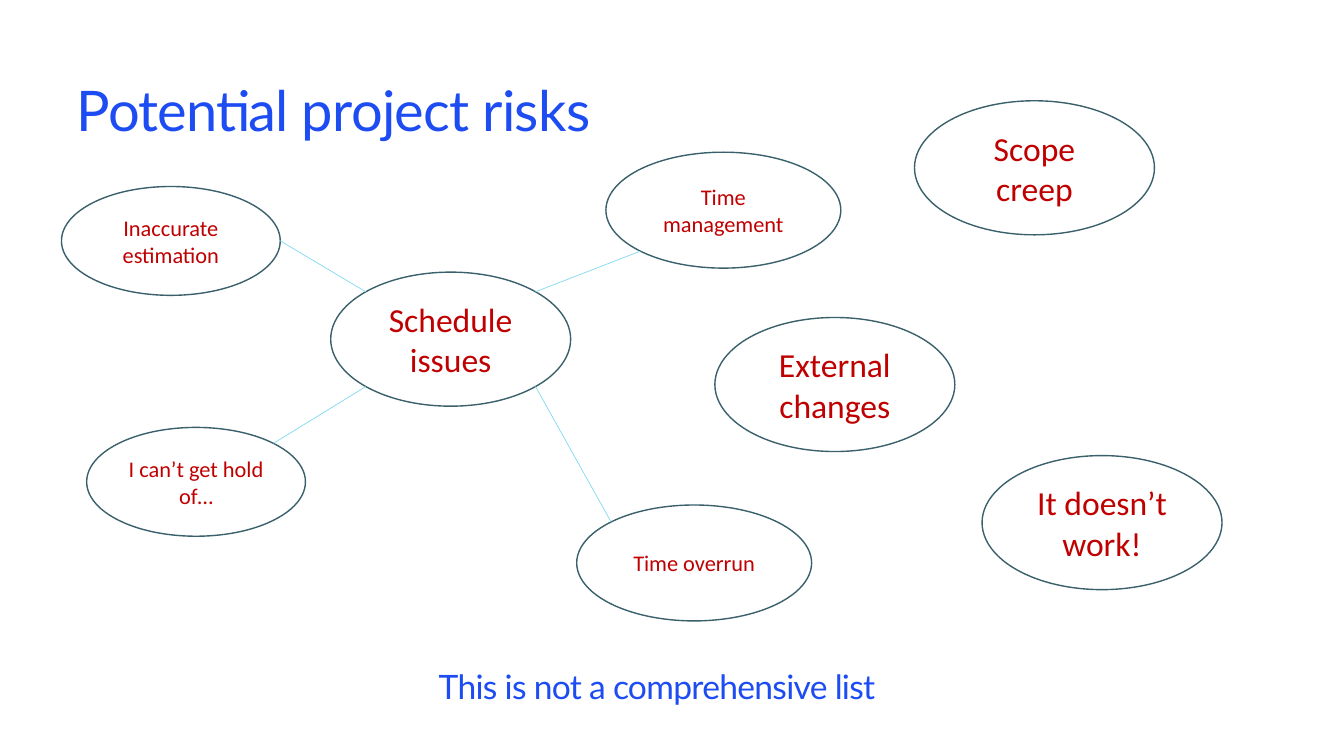
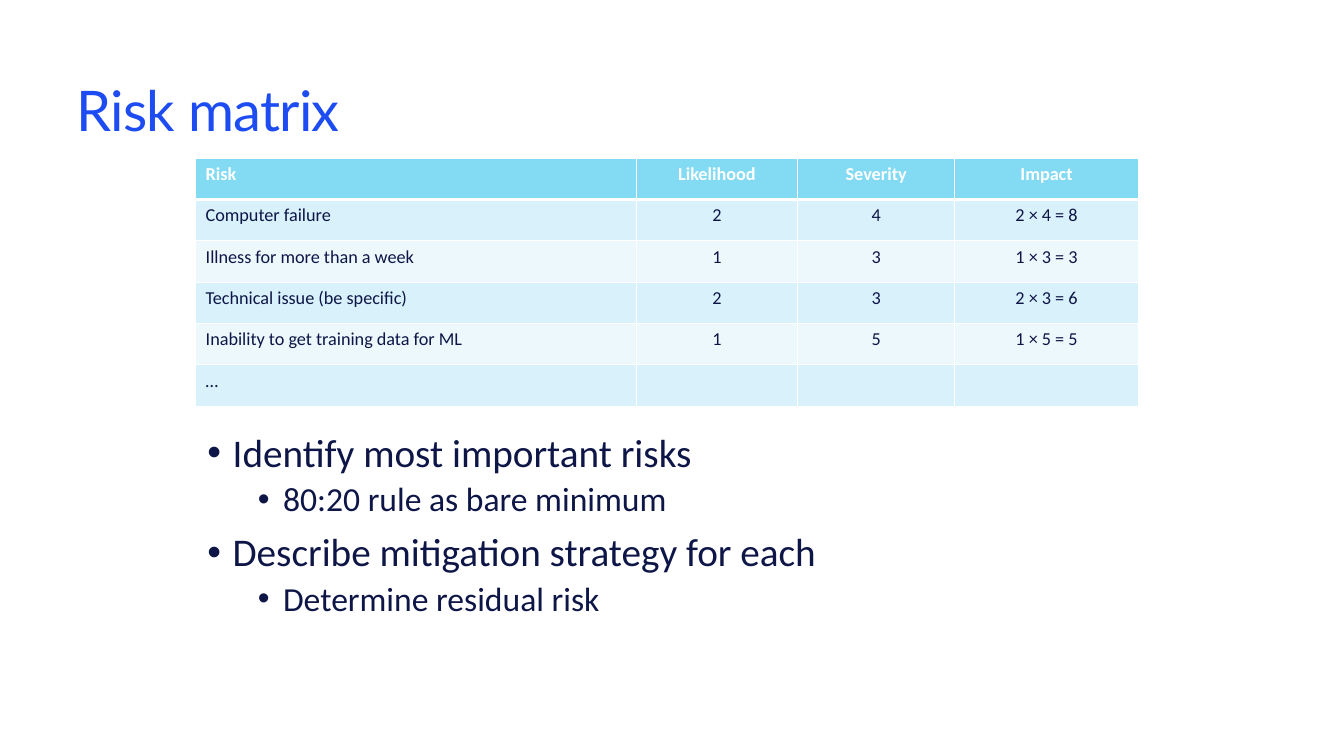
import math

import pptx
import pptx.dml.color
import pptx.enum.shapes
import pptx.enum.text
import pptx.oxml
import pptx.oxml.ns
import pptx.util
from lxml import etree

Inches = pptx.util.Inches
Pt = pptx.util.Pt
RGBColor = pptx.dml.color.RGBColor
qn = pptx.oxml.ns.qn
PP_ALIGN = pptx.enum.text.PP_ALIGN
MSO_ANCHOR = pptx.enum.text.MSO_ANCHOR

BLUE = RGBColor(0x1D, 0x4C, 0xF2)
NAVY = RGBColor(0x0E, 0x16, 0x47)
RED = RGBColor(0xC0, 0x00, 0x00)
TEAL = RGBColor(0x39, 0x60, 0x6B)
SKY = RGBColor(0x82, 0xDA, 0xF3)
BAND_DARK = RGBColor(0xD8, 0xF1, 0xFA)
BAND_LIGHT = RGBColor(0xED, 0xF8, 0xFD)
WHITE = RGBColor(0xFF, 0xFF, 0xFF)

HEADING_FONT = "Lato"
BODY_FONT = "Calibri"
TITLE_BOX = (0.76, 0.4, 11.81, 1.45)

TOP_LEFT, BOTTOM_LEFT, BOTTOM_RIGHT, RIGHT, TOP_RIGHT = 1, 3, 5, 6, 7

MAIN_SIZE = (2.38, 1.33)
LEFT_SIZE = (2.17, 1.08)
RIGHT_SIZE = (2.33, 1.15)
MAIN_RISKS = [
    ("Scope creep", 9.07, 1),
    ("External changes", 7.09, 3.15),
    ("It doesn’t work!", 9.74, 4.52),
]
SCHEDULE = ("Schedule issues", 3.28, 2.7)
SCHEDULE_CAUSES = [
    ("Time management", 6.01, 1.51, RIGHT_SIZE, BOTTOM_LEFT, TOP_RIGHT),
    ("Inaccurate estimation", 0.61, 1.85, LEFT_SIZE, RIGHT, TOP_LEFT),
    ("I can’t get hold of…", 0.86, 4.24, LEFT_SIZE, TOP_RIGHT, BOTTOM_LEFT),
    ("Time overrun", 5.72, 5.01, RIGHT_SIZE, TOP_LEFT, BOTTOM_RIGHT),
]

HEADER = ["Risk", "Likelihood", "Severity", "Impact"]
RISKS = [
    ("Computer failure", 2, 4),
    ("Illness for more than a week", 1, 3),
    ("Technical issue (be specific)", 2, 3),
    ("Inability to get training data for ML", 1, 5),
]
COL_WIDTHS = [4.37, 1.6, 1.56, 1.82]
ROW_HEIGHT = 0.41
ACTIONS = [
    (0, "Identify most important risks"),
    (1, "80:20 rule as bare minimum"),
    (0, "Describe mitigation strategy for each"),
    (1, "Determine residual risk"),
]


def set_font(p, name, size, color, bold=False):
    """Set the font shared by all runs of a paragraph."""
    p.font.name = name
    p.font.size = Pt(size)
    p.font.color.rgb = color
    p.font.bold = bold


def add_heading(slide, box, text, size, align=PP_ALIGN.LEFT):
    """Add a blue heading, centred vertically in its box."""
    tf = slide.shapes.add_textbox(*map(Inches, box)).text_frame
    tf.word_wrap = True
    tf.vertical_anchor = MSO_ANCHOR.MIDDLE
    tf.margin_left = tf.margin_top = tf.margin_right = tf.margin_bottom = 0
    p = tf.paragraphs[0]
    r = p.add_run()
    r.text = text
    p.alignment = align
    p.line_spacing = 0.9
    set_font(p, HEADING_FONT, size, BLUE)
    r.font._element.set("spc", "-50")


def add_bubble(slide, text, left, top, size, font_size):
    """Add an outlined ellipse with a centred risk label."""
    sp = slide.shapes.add_shape(
        pptx.enum.shapes.MSO_SHAPE.OVAL, *map(Inches, (left, top, *size)))
    sp.shadow.inherit = False
    sp.fill.solid()
    sp.fill.fore_color.rgb = WHITE
    sp.line.color.rgb = TEAL
    sp.line.width = Pt(1)
    tf = sp.text_frame
    tf.word_wrap = True
    tf.vertical_anchor = MSO_ANCHOR.MIDDLE
    p = tf.paragraphs[0]
    p.text = text
    p.alignment = PP_ALIGN.CENTER
    set_font(p, BODY_FONT, font_size, RED)
    return sp


def ellipse_site(sp, site):
    """Return a connection site, counted anticlockwise from the top in eighths."""
    angle = site * math.pi / 4
    return (int(sp.left + sp.width / 2 * (1 - math.sin(angle))),
            int(sp.top + sp.height / 2 * (1 - math.cos(angle))))


def link_bubbles(slide, start, start_site, end, end_site):
    """Join two ellipses with a thin line glued to their connection sites."""
    line = slide.shapes.add_connector(
        pptx.enum.shapes.MSO_CONNECTOR.STRAIGHT,
        *ellipse_site(start, start_site), *ellipse_site(end, end_site))
    line.line.color.rgb = SKY
    line.line.width = Pt(0.5)
    etree.SubElement(line._element.spPr, qn("a:effectLst"))
    glue = line._element.nvCxnSpPr.cNvCxnSpPr
    for tag, sp, site in (("a:stCxn", start, start_site), ("a:endCxn", end, end_site)):
        etree.SubElement(glue, qn(tag), id=str(sp.shape_id), idx=str(site))


def set_borders(cell, **widths):
    """Give a cell white borders, with widths in points by side."""
    tc_pr = cell._tc.get_or_add_tcPr()
    for i, (side, width) in enumerate(widths.items()):
        ln = etree.Element(qn(f"a:ln{side}"), w=str(Pt(width)))
        fill = etree.SubElement(ln, qn("a:solidFill"))
        etree.SubElement(fill, qn("a:srgbClr"), val=str(WHITE))
        tc_pr.insert(i, ln)


def add_risk_table(slide, left, top):
    """Add the banded table of likelihood, severity and impact."""
    rows = [HEADER]
    rows += [(name, str(l), str(s), f"{l} × {s} = {l * s}") for name, l, s in RISKS]
    rows.append(("…", "", "", ""))
    table = slide.shapes.add_table(
        len(rows), len(HEADER), Inches(left), Inches(top),
        Inches(sum(COL_WIDTHS)), Inches(ROW_HEIGHT * len(rows))).table
    table.first_row = table.horz_banding = False
    for column, width in zip(table.columns, COL_WIDTHS):
        column.width = Inches(width)
    for i, row in enumerate(rows):
        table.rows[i].height = Inches(ROW_HEIGHT)
        is_header = i == 0
        fill = SKY if is_header else BAND_DARK if i % 2 else BAND_LIGHT
        for j, text in enumerate(row):
            cell = table.cell(i, j)
            cell.fill.solid()
            cell.fill.fore_color.rgb = fill
            set_borders(cell, L=1, R=1, T=3 if i == 1 else 1, B=3 if is_header else 1)
            p = cell.text_frame.paragraphs[0]
            p.text = text
            p.alignment = PP_ALIGN.CENTER if j else PP_ALIGN.LEFT
            set_font(p, BODY_FONT, 13, WHITE if is_header else NAVY, is_header)


def add_bullets(slide, box, items):
    """Add a two-level bulleted list."""
    tf = slide.shapes.add_textbox(*map(Inches, box)).text_frame
    tf.word_wrap = True
    for i, (level, text) in enumerate(items):
        p = tf.add_paragraph() if i else tf.paragraphs[0]
        p.text = text
        p.level = level
        p.line_spacing = 0.9
        p.space_before = Pt(5 if level else 10)
        set_font(p, BODY_FONT, 24 if level else 28, NAVY)
        p_pr = p._p.get_or_add_pPr()
        p_pr.set("marL", str(Inches(0.25 + 0.5 * level)))
        p_pr.set("indent", str(Inches(-0.25)))
        bullet_font = etree.Element(qn("a:buFont"), typeface="Arial")
        bullet = etree.Element(qn("a:buChar"), char="•")
        p_pr.find(qn("a:defRPr")).addprevious(bullet_font)
        bullet_font.addnext(bullet)


def add_slide(prs, title):
    """Add a blank slide with the shared title."""
    slide = prs.slides.add_slide(prs.slide_layouts[6])
    add_heading(slide, TITLE_BOX, title, 40)
    return slide


def build_risk_map(prs):
    """Build the slide of risk bubbles."""
    slide = add_slide(prs, "Potential project risks")
    for risk in MAIN_RISKS:
        add_bubble(slide, *risk, MAIN_SIZE, 24)
    schedule = add_bubble(slide, *SCHEDULE, MAIN_SIZE, 24)
    for text, left, top, size, site, schedule_site in SCHEDULE_CAUSES:
        cause = add_bubble(slide, text, left, top, size, 16)
        link_bubbles(slide, cause, site, schedule, schedule_site)
    add_heading(slide, (0.61, 6.36, 11.81, 0.94),
                "This is not a comprehensive list", 24, PP_ALIGN.CENTER)


def build_risk_matrix(prs):
    """Build the slide of the risk table and actions."""
    slide = add_slide(prs, "Risk matrix")
    add_risk_table(slide, 1.94, 1.57)
    add_bullets(slide, (1.96, 4.25, 9.36, 2.83), ACTIONS)


def main():
    """Build and save the presentation."""
    prs = pptx.Presentation()
    prs.slide_width = Inches(13.33)
    prs.slide_height = Inches(7.5)
    build_risk_map(prs)
    build_risk_matrix(prs)
    prs.save("out.pptx")


if __name__ == "__main__":
    main()
